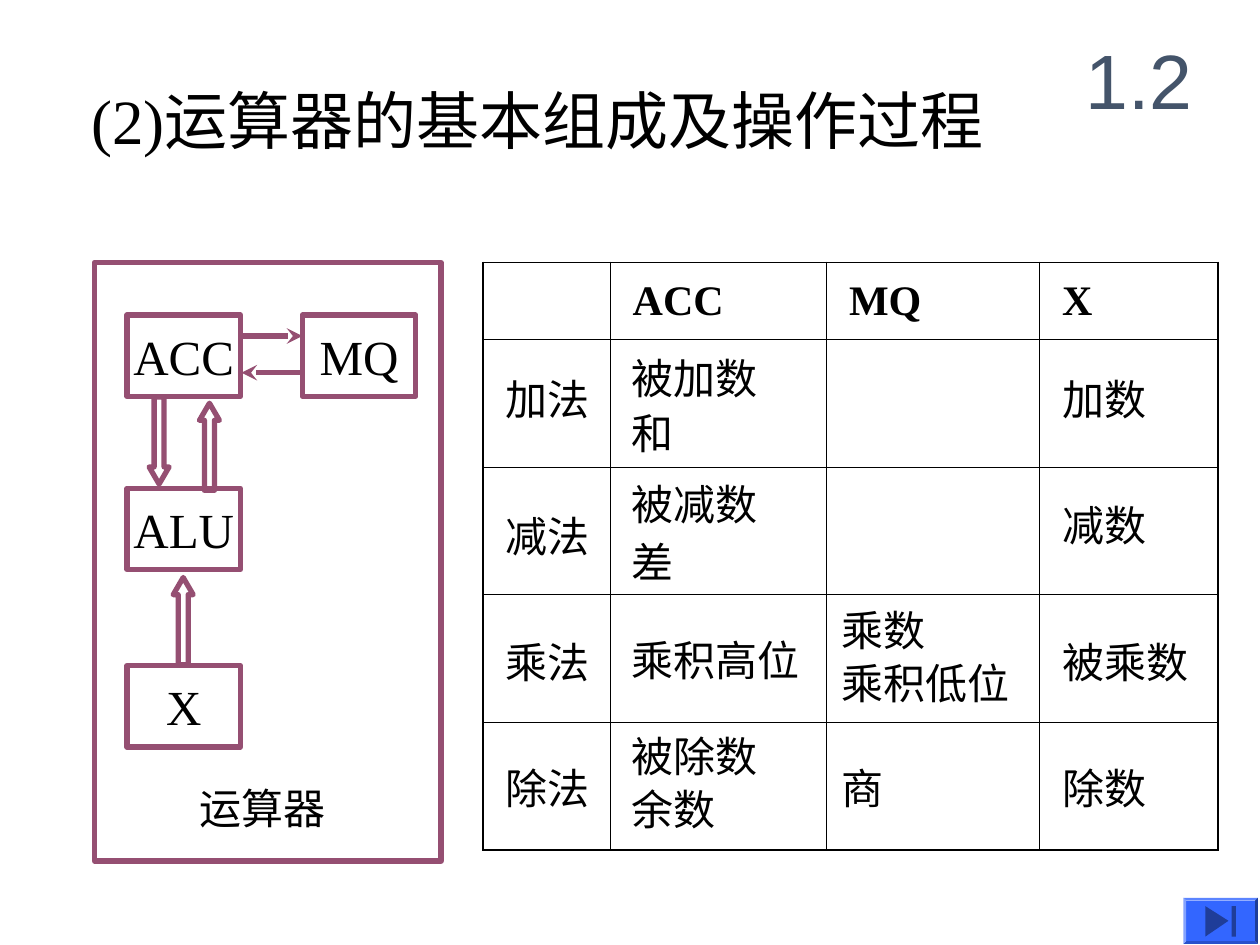
from dataclasses import dataclass

from lxml import etree
from pptx import Presentation
from pptx.dml.color import RGBColor
from pptx.enum.shapes import MSO_CONNECTOR, MSO_SHAPE
from pptx.enum.text import MSO_ANCHOR, PP_ALIGN
from pptx.oxml.ns import qn
from pptx.util import Inches, Pt

RECT, UP_ARROW, BEVEL = MSO_SHAPE.RECTANGLE, MSO_SHAPE.UP_ARROW, MSO_SHAPE.BEVEL
STRAIGHT = MSO_CONNECTOR.STRAIGHT
TOP, MIDDLE = MSO_ANCHOR.TOP, MSO_ANCHOR.MIDDLE
LEFT, CENTER = PP_ALIGN.LEFT, PP_ALIGN.CENTER
COLS, ROWS = 120, 90  # layout grid of the slide


@dataclass(frozen=True)
class Theme:
    ink: str = "000000"
    accent: str = "954F72"
    number: str = "44546A"
    button: str = "3366FF"
    icon: str = "1F3D99"
    serif: str = "Times New Roman"
    sans: str = "Arial"
    cjk: str = "Noto Sans CJK SC"
    title: int = 36
    section: int = 44
    unit: int = 28
    body: int = 24
    stroke: float = 3
    thin: float = 0.45
    edge: float = 1.08


THEME = Theme()


def write(tf, text, size=THEME.body, font=THEME.serif, color=THEME.ink,
          bold=False, align=LEFT):
    p = tf.paragraphs[0]
    p.alignment = align
    r = p.add_run()
    r.text = text
    r.font.size, r.font.name, r.font.bold = Pt(size), font, bold
    r.font.color.rgb = RGBColor.from_string(color)
    ea = etree.SubElement(r.font._element, qn("a:ea"))
    ea.set("typeface", THEME.cjk)


class Board:
    def __init__(self, prs, theme):
        self.t = theme
        self.s = prs.slides.add_slide(prs.slide_layouts[6])
        self.col, self.row = prs.slide_width / COLS, prs.slide_height / ROWS

    def place(self, x, y, w, h):
        return (round(x * self.col), round(y * self.row),
                round(w * self.col), round(h * self.row))

    def text(self, text, x, y, w, h, inset=(0.1, 0.05), anchor=TOP, wrap=True, **style):
        tf = self.s.shapes.add_textbox(*self.place(x, y, w, h)).text_frame
        tf.word_wrap, tf.vertical_anchor = wrap, anchor
        tf.margin_left = tf.margin_right = Inches(inset[0])
        tf.margin_top = tf.margin_bottom = Inches(inset[1])
        write(tf, text, **style)

    def shape(self, kind, x, y, w, h, fill=None, adjust=(), turn=0):
        """Outlined in the accent colour, or filled without an outline."""
        sp = self.s.shapes.add_shape(kind, *self.place(x, y, w, h))
        sp.shadow.inherit = False
        sp.rotation = turn
        for i, value in enumerate(adjust):
            sp.adjustments[i] = value
        self.paint(sp, fill)

    def paint(self, sp, fill):
        if fill:
            sp.fill.solid()
            sp.fill.fore_color.rgb = RGBColor.from_string(fill)
            sp.line.fill.background()
        else:
            sp.fill.background()
            sp.line.color.rgb = RGBColor.from_string(self.t.accent)
            sp.line.width = Pt(self.t.stroke)

    def polygon(self, points, fill):
        pts = [(round(x * self.col), round(y * self.row)) for x, y in points]
        fb = self.s.shapes.build_freeform(*pts[0])
        fb.add_line_segments(pts[1:], close=True)
        sp = fb.convert_to_shape()
        sp.shadow.inherit = False
        self.paint(sp, fill)

    def arrow(self, x1, y1, x2, y2):
        ends = self.place(x1, y1, x2, y2)
        c = self.s.shapes.add_connector(STRAIGHT, *ends)
        c.line.color.rgb = RGBColor.from_string(self.t.accent)
        c.line.width = Pt(self.t.stroke)
        ln = c.line._get_or_add_ln()
        etree.SubElement(ln, qn("a:tailEnd")).set("type", "stealth")
        etree.SubElement(c._element.spPr, qn("a:effectLst"))

    def table(self, heads, x, y, widths, heights):
        frame = self.s.shapes.add_table(
            len(heights), len(widths),
            *self.place(x, y, sum(widths), sum(heights)))
        tb = frame.table
        for column, w in zip(tb.columns, widths):
            column.width = round(w * self.col)
        for row, h in zip(tb.rows, heights):
            row.height = round(h * self.row)
        last_i, last_j = len(heights) - 1, len(widths) - 1
        for i in range(len(heights)):
            for j in range(len(widths)):
                cell = tb.cell(i, j)
                outer = {"L": j == 0, "R": j == last_j, "T": i == 0, "B": i == last_i}
                for side, is_edge in outer.items():
                    self.border(cell, side, self.t.edge if is_edge else self.t.thin)
                cell.fill.background()
        for j, head in enumerate(heads, start=1):
            cell = tb.cell(0, j)
            cell.vertical_anchor, cell.margin_left = MIDDLE, Inches(0.18)
            write(cell.text_frame, head, bold=True)

    def border(self, cell, side, width):
        tc_pr = cell._tc.get_or_add_tcPr()
        ln = etree.SubElement(tc_pr, qn(f"a:ln{side}"), w=str(Pt(width)))
        fill = etree.SubElement(ln, qn("a:solidFill"))
        etree.SubElement(fill, qn("a:srgbClr")).set("val", self.t.ink)


def main():
    prs = Presentation()
    prs.slide_width, prs.slide_height = Inches(10), Inches(7.5)
    b = Board(prs, THEME)

    # Table of registers
    b.table(["ACC", "MQ", "X"], 46, 25, [12.1, 20.6, 20.3, 17], [7.3] + [12.17] * 4)

    # Heading and section number
    b.text("(2)运算器的基本组成及操作过程", 7.5, 7.2, 96, 8.4, size=THEME.title)
    b.text("1.2", 101, 2, 15, 11, anchor=MIDDLE, align=CENTER,
           size=THEME.section, font=THEME.sans, color=THEME.number)

    # Arithmetic unit: frame, registers, data paths
    b.shape(RECT, 9, 25, 33, 57)
    b.text("运算器", 19, 74.5, 12, 4.8, inset=(0, 0), wrap=False, font=THEME.cjk)
    box_w, box_h, label_h = 10.8, 7.75, 5.6
    for name, x, y in [("ACC", 12.1, 30), ("MQ", 28.8, 30),
                       ("ALU", 12.1, 46.5), ("X", 12.1, 63.4)]:
        b.shape(RECT, x, y, box_w, box_h)
        b.text(name, x, y + (box_h - label_h) / 2, box_w, label_h, inset=(0, 0),
               align=CENTER, size=THEME.unit)
    for x, y, turn in [(14.2, 37.8, 180), (19, 38.4, 0), (16.5, 55, 0)]:
        b.shape(UP_ARROW, x, y, 1.9, 8.3, adjust=(0.5, 0.86), turn=turn)
    b.arrow(22.9, 32, 28.8, 32)
    b.arrow(28.8, 35.5, 23, 35.5)

    # Operations: column, width, then (top, word) pairs
    for x, w, words in [
        (47, 14, [(35, "加法"), (48, "减法"), (60, "乘法"), (72, "除法")]),
        (59, 24, [(33, "被加数"), (38.2, "和"), (45, "被减数"), (50.5, "差"),
                  (59.8, "乘积高位"), (69, "被除数"), (74, "余数")]),
        (79, 24, [(57, "乘数"), (62, "乘积低位"), (72, "商")]),
        (100, 18, [(35, "加数"), (47, "减数"), (60, "被乘数"), (72, "除数")]),
    ]:
        for y, word in words:
            b.text(word, x, y, w, 6)

    # Skip-to-end button
    b.shape(BEVEL, 112.7, 85.5, 7.1, 4.4, fill=THEME.button, adjust=(0.06,))
    b.polygon([(114.8, 86.3), (117, 87.7), (114.8, 89.2)], THEME.icon)
    b.shape(RECT, 117.3, 86.3, 0.4, 2.9, fill=THEME.icon)

    prs.save("out.pptx")


if __name__ == "__main__":
    main()
